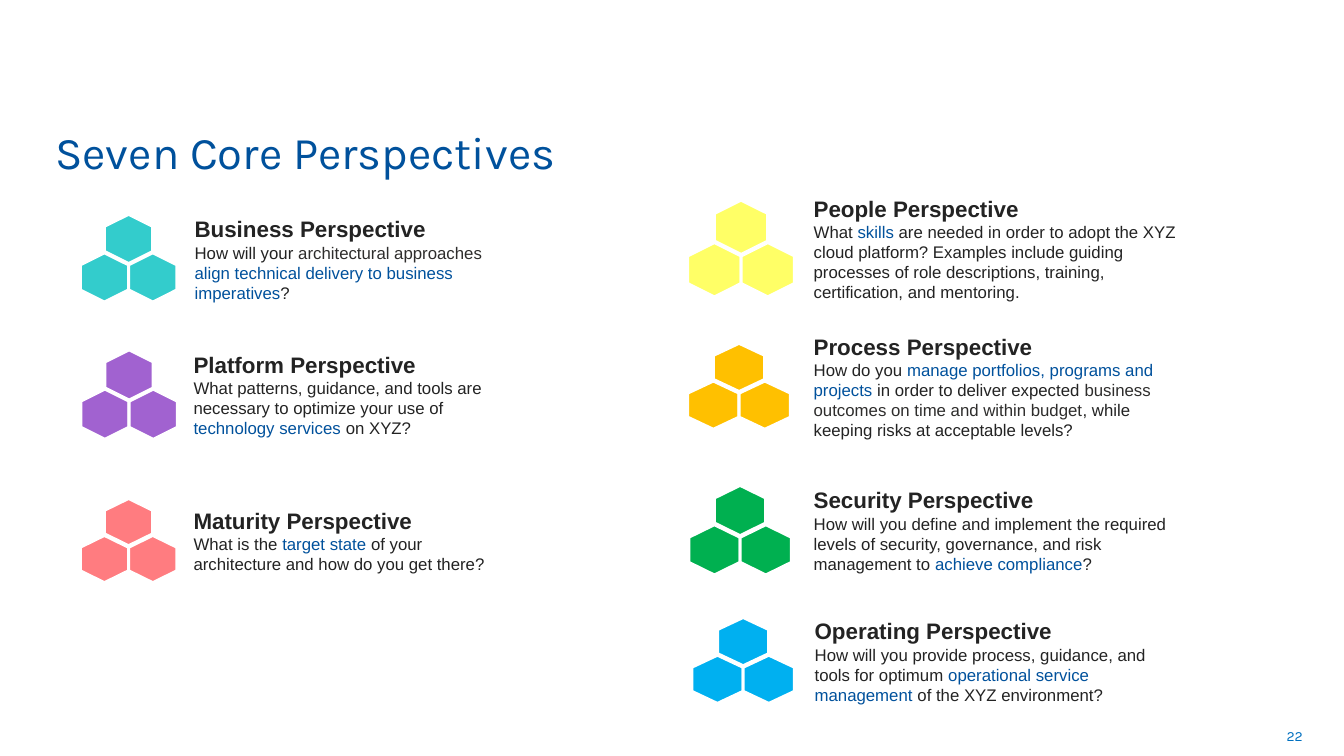
from dataclasses import dataclass

from pptx import Presentation
from pptx.dml.color import RGBColor
from pptx.enum.shapes import MSO_SHAPE
from pptx.enum.text import MSO_ANCHOR, PP_ALIGN
from pptx.shapes.shapetree import GroupShapes
from pptx.slide import Slide
from pptx.util import Inches, Pt

INK = "232323"
SOFT_INK = "2E2D2C"
NAVY = "00519C"
WHITE = "FFFFFF"
ROW_PITCH = 0.78


@dataclass(frozen=True)
class Box:
    left: float
    top: float
    width: float
    height: float

    def inches(self) -> tuple[int, ...]:
        return tuple(Inches(v) for v in (self.left, self.top, self.width, self.height))


@dataclass(frozen=True)
class Phrase:
    text: str
    color: str = INK


@dataclass(frozen=True)
class Perspective:
    name: str
    color: str
    top_hexagon: Box
    caption: Box
    question: tuple[Phrase, ...]


PERSPECTIVES = [
    Perspective(
        "Business", "33CCCC", Box(1.03, 2.13, 0.49, 0.48), Box(1.73, 2.2, 3.42, 0.74),
        (Phrase("How will your "), Phrase("architectural approaches ", SOFT_INK),
         Phrase("align technical delivery to business imperatives", NAVY), Phrase("?")),
    ),
    Perspective(
        "Platform", "A162D0", Box(1.03, 3.48, 0.5, 0.48), Box(1.72, 3.48, 3.5, 0.87),
        (Phrase("What patterns, guidance, and tools are necessary to optimize your use of "),
         Phrase("technology services", NAVY), Phrase(" on XYZ?")),
    ),
    Perspective(
        "Maturity", "FF7C80", Box(1.04, 4.94, 0.47, 0.48), Box(1.72, 5, 3.36, 0.73),
        (Phrase("What is the "), Phrase("target state ", NAVY),
         Phrase("of your architecture and how do you get there?")),
    ),
    Perspective(
        "People", "FFFF66", Box(7.08, 1.99, 0.54, 0.53), Box(7.87, 1.95, 4.01, 1.03),
        (Phrase("What "), Phrase("skills", NAVY),
         Phrase(" are needed in order to adopt the XYZ cloud platform? Examples include guiding "
                "processes of role descriptions, training, certification, and mentoring.")),
    ),
    Perspective(
        "Process", "FFC000", Box(7.09, 3.39, 0.48, 0.51), Box(7.87, 3.29, 4.01, 1.09),
        (Phrase("How do you "), Phrase("manage portfolios, programs and projects", NAVY),
         Phrase(" in order to deliver expected "),
         Phrase("business outcomes on time and within budget", SOFT_INK),
         Phrase(", while keeping risks at acceptable levels?")),
    ),
    Perspective(
        "Security", "00B050", Box(7.09, 4.81, 0.5, 0.51), Box(7.87, 4.79, 4.02, 0.94),
        (Phrase("How will you define and implement the required levels of security, "
                "governance, and risk management to "),
         Phrase("achieve compliance", NAVY), Phrase("?")),
    ),
    Perspective(
        "Operating", "00B0F0", Box(7.13, 6.11, 0.48, 0.51), Box(7.88, 6.07, 4.02, 0.98),
        (Phrase("How will you provide process, guidance, and tools for optimum "),
         Phrase("operational service management ", NAVY), Phrase("of the XYZ environment?")),
    ),
]


def rgb(color: str) -> RGBColor:
    return RGBColor.from_string(color)


def draw_label(slide: Slide, box: Box, phrase: Phrase, size: float,
               anchor: MSO_ANCHOR, align: PP_ALIGN) -> None:
    frame = slide.shapes.add_textbox(*box.inches()).text_frame
    frame.word_wrap = True
    frame.vertical_anchor = anchor
    line = frame.paragraphs[0]
    line.text = phrase.text
    line.alignment = align
    line.font.name = "Karla"
    line.font.size = Pt(size)
    line.font.color.rgb = rgb(phrase.color)


def draw_hexagons(shapes: GroupShapes, top: Box, color: str) -> None:
    lower_row = top.top + ROW_PITCH * top.width
    half_step = top.height / 2
    corners = [(top.left, top.top), (top.left - half_step, lower_row),
               (top.left + half_step, lower_row)]
    for left, y in corners:
        cell = Box(left, y, top.width, top.height)
        hexagon = shapes.add_shape(MSO_SHAPE.HEXAGON, *cell.inches())
        hexagon.rotation = 90
        hexagon.shadow.inherit = False
        hexagon.fill.solid()
        hexagon.fill.fore_color.rgb = rgb(color)
        hexagon.line.color.rgb = rgb(WHITE)
        hexagon.line.width = Pt(2.25)


def draw_caption(shapes: GroupShapes, perspective: Perspective) -> None:
    frame = shapes.add_textbox(*perspective.caption.inches()).text_frame
    frame.word_wrap = True
    frame.vertical_anchor = MSO_ANCHOR.MIDDLE
    frame.margin_left = frame.margin_right = Inches(0.2)
    frame.margin_top = frame.margin_bottom = 0

    heading = frame.paragraphs[0]
    heading.text = f"{perspective.name} Perspective"
    heading.alignment = PP_ALIGN.JUSTIFY
    heading.font.name = "Arial"
    heading.font.size = Pt(16)
    heading.font.bold = True
    heading.font.color.rgb = rgb(INK)

    question = frame.add_paragraph()
    question.font.name = "Arial"
    question.font.size = Pt(12)
    for phrase in perspective.question:
        run = question.add_run()
        run.text = phrase.text
        run.font.color.rgb = rgb(phrase.color)


def main() -> None:
    deck = Presentation()
    deck.slide_width = Inches(13.33)
    deck.slide_height = Inches(7.5)
    slide = deck.slides.add_slide(deck.slide_layouts[6])

    draw_label(slide, Box(0.45, 1.13, 9.98, 0.69), Phrase("Seven Core Perspectives", NAVY),
               32.4, MSO_ANCHOR.BOTTOM, PP_ALIGN.LEFT)
    for perspective in PERSPECTIVES:
        group = slide.shapes.add_group_shape()
        draw_hexagons(group.shapes, perspective.top_hexagon, perspective.color)
        draw_caption(group.shapes, perspective)
    draw_label(slide, Box(9.91, 7.1, 3.11, 0.4), Phrase("22", "0070C0"),
               10, MSO_ANCHOR.MIDDLE, PP_ALIGN.RIGHT)

    deck.save("out.pptx")


if __name__ == "__main__":
    main()
